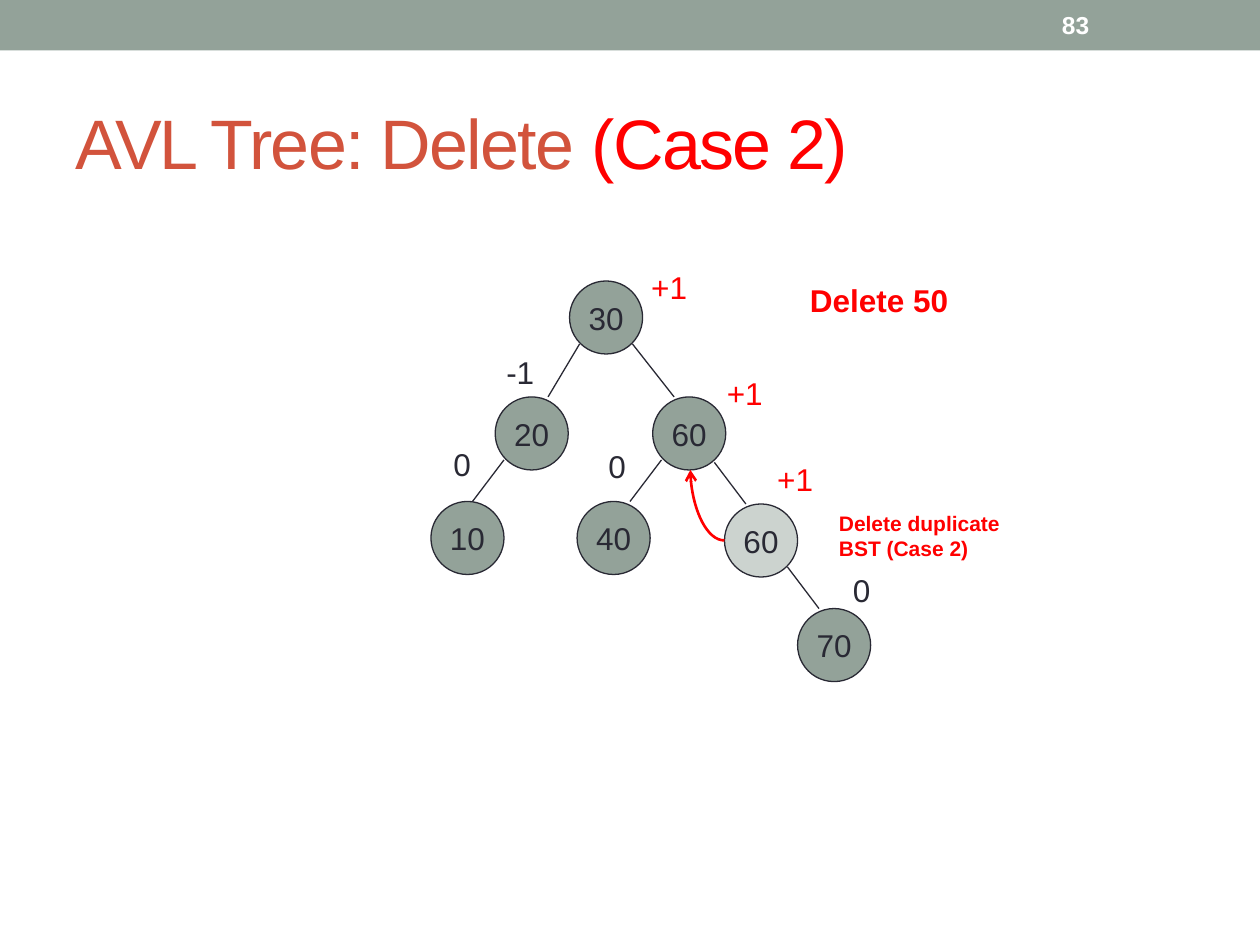
import pptx
import pptx.util
from lxml import etree
from pptx.dml.color import RGBColor
from pptx.enum.shapes import MSO_CONNECTOR, MSO_SHAPE
from pptx.enum.text import MSO_ANCHOR, MSO_AUTO_SIZE, PP_ALIGN
from pptx.oxml.ns import qn
from pptx.util import Inches

THEME = {
    "font": "Arial",
    "sage": RGBColor.from_string("93A299"),
    "ink": RGBColor.from_string("292934"),
    "rust": RGBColor.from_string("D2533C"),
    "red": RGBColor.from_string("FF0000"),
    "white": RGBColor.from_string("FFFFFF"),
    "title": 40,
    "body": 18,
    "number": 14,
    "note": 12,
}
NODE_SIZE = 0.58

presentation = pptx.Presentation()
presentation.slide_width = Inches(10)
presentation.slide_height = Inches(7.5)
slide = presentation.slides.add_slide(presentation.slide_layouts[6])


def write(shape, lines, color, size="body", bold=False, align=PP_ALIGN.LEFT,
          **frame_format):
    """Fill a shape's text frame with one paragraph per line."""
    frame = shape.text_frame
    frame_format = {"word_wrap": False, **frame_format}
    for name, value in frame_format.items():
        setattr(frame, name, value)
    font_format = {"name": THEME["font"], "size": pptx.util.Pt(THEME[size]), "bold": bold}
    for index, line in enumerate(lines):
        paragraph = frame.paragraphs[0] if index == 0 else frame.add_paragraph()
        paragraph.alignment = align
        run = paragraph.add_run()
        run.text = line
        for name, value in font_format.items():
            setattr(run.font, name, value)
        run.font.color.rgb = THEME[color]


def connect(kind, start, end, color, width):
    connector = slide.shapes.add_connector(kind, *map(Inches, start + end))
    connector.line.color.rgb = THEME[color]
    connector.line.width = pptx.util.Pt(width)
    etree.SubElement(connector._element.spPr, qn("a:effectLst"))
    return connector


# Header bar, slide number and title
bar = slide.shapes.add_shape(MSO_SHAPE.RECTANGLE, 0, 0, Inches(10), Inches(0.4))
bar.shadow.inherit = False
bar.fill.solid()
bar.fill.fore_color.rgb = THEME["sage"]
bar.line.fill.background()

number = slide.shapes.add_textbox(Inches(8.33), Inches(0.02), Inches(1.17), Inches(0.36))
write(number, ["83"], "white", "number", bold=True, word_wrap=True,
      vertical_anchor=MSO_ANCHOR.MIDDLE)

title = slide.shapes.add_textbox(Inches(0.5), Inches(0.58), Inches(9), Inches(1.08))
write(title, ["AVL Tree: Delete "], "rust", "title", word_wrap=True,
      vertical_anchor=MSO_ANCHOR.MIDDLE)
title_paragraph = title.text_frame.paragraphs[0]
case_run = title_paragraph.add_run()
case_run.text = "(Case 2)"
case_run.font.name = THEME["font"]
case_run.font.size = pptx.util.Pt(THEME["title"])
case_run.font.color.rgb = THEME["red"]
for run in title_paragraph.runs:
    run._r.get_or_add_rPr().set("spc", "-100")

# Tree nodes: key, left, top, opacity in percent
nodes = [
    ("30", 4.52, 2.23, 100),
    ("20", 3.93, 3.15, 100),
    ("60", 5.18, 3.15, 100),
    ("10", 3.42, 3.98, 100),
    ("40", 4.58, 3.98, 100),
    ("60", 5.75, 4, 47),
    ("70", 6.33, 4.83, 100),
]
for key, left, top, opacity in nodes:
    node = slide.shapes.add_shape(MSO_SHAPE.OVAL, Inches(left), Inches(top),
                                  Inches(NODE_SIZE), Inches(NODE_SIZE))
    node.shadow.inherit = False
    node.fill.solid()
    node.fill.fore_color.rgb = THEME["sage"]
    if opacity < 100:
        fill_color = node._element.spPr.find(qn("a:solidFill"))[0]
        etree.SubElement(fill_color, qn("a:alpha"), val=str(opacity * 1000))
    node.line.color.rgb = THEME["ink"]
    node.line.width = pptx.util.Pt(0.75)
    write(node, [key], "ink", align=PP_ALIGN.CENTER, vertical_anchor=MSO_ANCHOR.MIDDLE)

# Tree edges: parent end, child end
edges = [
    ((4.6, 2.73), (4.35, 3.15)),
    ((5.02, 2.73), (5.35, 3.15)),
    ((4, 3.65), (3.75, 3.98)),
    ((5.25, 3.65), (5, 3.98)),
    ((5.67, 3.67), (5.92, 4)),
    ((6.25, 4.5), (6.5, 4.83)),
]
for parent_end, child_end in edges:
    connect(MSO_CONNECTOR.STRAIGHT, parent_end, child_end, "ink", 0.75)

# Arrow from the duplicate node to the node that takes its key
arrow = connect(MSO_CONNECTOR.CURVE, (5.75, 4.29), (5.48, 3.73), "red", 1.5)
arrow._element.spPr.find(qn("a:prstGeom")).set("prst", "curvedConnector2")
etree.SubElement(arrow.line._get_or_add_ln(), qn("a:tailEnd"), type="arrow")

# Balance factors and notes: lines, left, top, width, height, color, size, bold
labels = [
    (["+1"], 5.07, 2.08, 0.56, 0.4, "red", "body", False),
    (["-1"], 3.92, 2.75, 0.43, 0.43, "ink", "body", False),
    (["+1"], 5.67, 2.92, 0.56, 0.4, "red", "body", False),
    (["0"], 3.5, 3.48, 0.34, 0.43, "ink", "body", False),
    (["0"], 4.73, 3.5, 0.34, 0.43, "ink", "body", False),
    (["+1"], 6.07, 3.6, 0.56, 0.4, "red", "body", False),
    (["0"], 6.67, 4.48, 0.34, 0.43, "ink", "body", False),
    (["Delete 50"], 6.33, 2.18, 1.38, 0.4, "red", "body", True),
    (["Delete duplicate", "BST (Case 2)"], 6.56, 4, 1.53, 0.5, "red", "note", True),
]
for lines, left, top, width, height, color, size, bold in labels:
    label = slide.shapes.add_textbox(*map(Inches, (left, top, width, height)))
    write(label, lines, color, size, bold, auto_size=MSO_AUTO_SIZE.SHAPE_TO_FIT_TEXT)

presentation.save("out.pptx")
